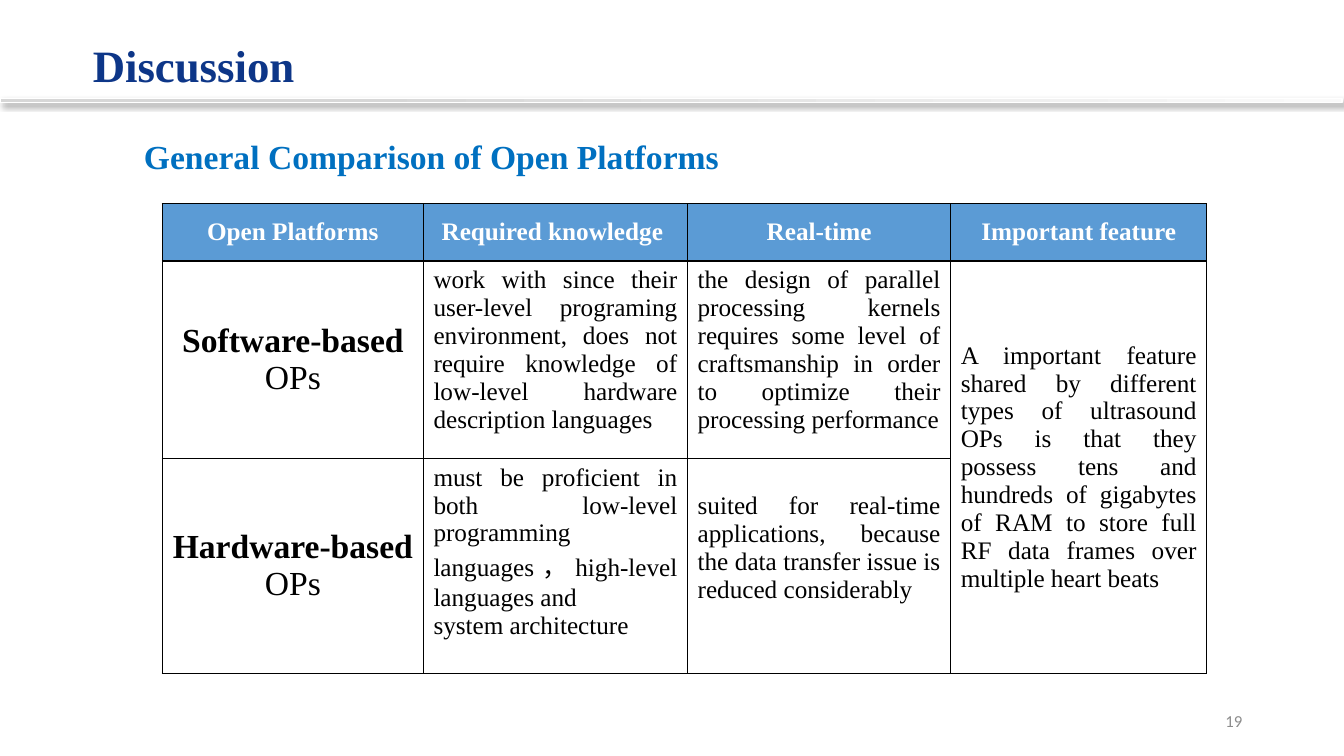
from lxml import etree
from pptx import Presentation
from pptx import util as u
from pptx.dml.color import RGBColor
from pptx.enum import shapes, text
from pptx.oxml import parse_xml
from pptx.oxml.ns import nsdecls, qn

COLORS = {
    "title": "0D3688", "subtitle": "0070C0", "number": "8C8C8C",
    "header": "5B9BD5", "white": "FFFFFF", "black": "000000",
    "bar_light": "FAFAFA", "bar_dark": "D7D7D7",
}
SERIF = "Times New Roman"
ALIGN = text.PP_ALIGN
ANCHOR = text.MSO_ANCHOR

HEADER = {"size": 18, "bold": True, "color": "white"}
BODY = {"size": 18, "bold": False, "color": "black"}
PLATFORM = {"size": 24, "bold": True, "color": "black"}
PLATFORM_SUFFIX = {**PLATFORM, "bold": False}

HEADINGS = ["Open Platforms", "Required knowledge ", "Real-time", "Important feature"]
PLATFORMS = [("Software-based ", "OPs"), ("Hardware-based", " OPs")]
KNOWLEDGE = [
    ["work with since their user-level programing environment, does not require "
     "knowledge of low-level hardware description languages"],
    ["must be proficient in both low-level programming languages，high-level languages and",
     "system architecture"],
]
REAL_TIME = [
    "the design of parallel processing kernels requires some level of craftsmanship "
    "in order to optimize their processing performance",
    "suited for real-time applications, because the data transfer issue is reduced considerably",
]
FEATURE = ("A important feature shared by different types of ultrasound OPs is that they "
           "possess tens and hundreds of gigabytes of RAM to store full RF data frames "
           "over multiple heart beats")


def place(shape, box):
    for name, value in zip(("left", "top", "width", "height"), box):
        setattr(shape, name, u.Inches(value))


def write(frame, paragraphs, align, line_spacing=None):
    """Fill a text frame; each paragraph is a list of (words, style) runs."""
    for index, runs in enumerate(paragraphs):
        paragraph = frame.add_paragraph() if index else frame.paragraphs[0]
        paragraph.alignment = align
        if line_spacing:
            paragraph.line_spacing = line_spacing
        for words, style in runs:
            run = paragraph.add_run()
            run.text = words
            values = {"name": style.get("font", SERIF), "size": u.Pt(style["size"]),
                      "bold": style["bold"]}
            for name, value in values.items():
                setattr(run.font, name, value)
            run.font.color.rgb = RGBColor.from_string(COLORS[style["color"]])


def add_title(slide, box):
    title = slide.shapes.title
    place(title, box)
    frame = title.text_frame
    frame.word_wrap = False
    frame.vertical_anchor = ANCHOR.TOP
    write(frame, [[("Discussion", {"size": 32, "bold": True, "color": "title"})]], ALIGN.LEFT)


def add_text(slide, box, words, style, align, anchor=ANCHOR.TOP, line_spacing=None):
    label = slide.shapes.add_textbox(*map(u.Inches, box))
    frame = label.text_frame
    frame.word_wrap = True
    frame.vertical_anchor = anchor
    write(frame, [[(words, style)]], align, line_spacing)


def add_divider(slide, box):
    """Thin gradient bar with a soft shadow under the title."""
    bar = slide.shapes.add_shape(shapes.MSO_SHAPE.RECTANGLE, *map(u.Inches, box))
    bar.line.color.rgb = RGBColor.from_string(COLORS["white"])
    bar.line.width = u.Pt(1)
    bar.shadow.inherit = False
    stops = [(0, "bar_light"), (74, "bar_dark"), (83, "bar_dark")]
    stop_xml = "".join(
        f'<a:gs pos="{position * 1000}"><a:srgbClr val="{COLORS[color]}"/></a:gs>'
        for position, color in stops)
    properties = bar.element.spPr
    properties.find(qn("a:prstGeom")).addnext(parse_xml(
        f'<a:gradFill {nsdecls("a")}><a:gsLst>{stop_xml}</a:gsLst>'
        '<a:lin ang="10800000" scaled="0"/></a:gradFill>'))
    properties.find(qn("a:effectLst")).append(parse_xml(
        f'<a:outerShdw {nsdecls("a")} blurRad="{u.Pt(4)}" dist="{u.Pt(3)}" dir="2700000">'
        f'<a:srgbClr val="{COLORS["black"]}"><a:alpha val="40000"/></a:srgbClr></a:outerShdw>'))


def frame_cell(cell, fill):
    """Draw the four borders of a cell, then its fill."""
    properties = cell._tc.get_or_add_tcPr()
    for side in ("lnL", "lnR", "lnT", "lnB"):
        line = etree.SubElement(properties, qn(f"a:{side}"), w=str(u.Pt(1)))
        solid = etree.SubElement(line, qn("a:solidFill"))
        etree.SubElement(solid, qn("a:srgbClr"), val=COLORS["black"])
    cell.fill.solid()
    cell.fill.fore_color.rgb = RGBColor.from_string(COLORS[fill])


def fill_cell(cell, paragraphs, align, anchor):
    cell.vertical_anchor = anchor
    write(cell.text_frame, paragraphs, align)


def add_comparison(slide, box):
    widths, heights = [2.59, 2.62, 2.61, 2.54], [0.57, 1.96, 2.13]
    table = slide.shapes.add_table(len(heights), len(widths), *map(u.Inches, box)).table
    for column, width in zip(table.columns, widths):
        column.width = u.Inches(width)
    for index, (row, height) in enumerate(zip(table.rows, heights)):
        row.height = u.Inches(height)
        for cell in row.cells:
            frame_cell(cell, "white" if index else "header")
    table.cell(1, 3).merge(table.cell(2, 3))

    for column, heading in enumerate(HEADINGS):
        fill_cell(table.cell(0, column), [[(heading, HEADER)]], ALIGN.CENTER, ANCHOR.MIDDLE)
    for row, (platform, knowledge, real_time) in enumerate(
            zip(PLATFORMS, KNOWLEDGE, REAL_TIME), start=1):
        name = list(zip(platform, (PLATFORM, PLATFORM_SUFFIX)))
        fill_cell(table.cell(row, 0), [name], ALIGN.CENTER, ANCHOR.MIDDLE)
        fill_cell(table.cell(row, 1), [[(words, BODY)] for words in knowledge],
                  ALIGN.JUSTIFY, ANCHOR.TOP)
        fill_cell(table.cell(row, 2), [[(real_time, BODY)]], ALIGN.JUSTIFY, ANCHOR.TOP)
    table.cell(2, 2).margin_top = u.Inches(0.33)
    fill_cell(table.cell(1, 3), [[(FEATURE, BODY)]], ALIGN.JUSTIFY, ANCHOR.MIDDLE)


def main():
    presentation = Presentation()
    presentation.slide_width = u.Inches(13.33)
    presentation.slide_height = u.Inches(7.5)
    slide = presentation.slides.add_slide(presentation.slide_layouts.get_by_name("Title Only"))
    add_divider(slide, (0, 0.98, 13.31, 0.04))
    add_title(slide, (0.82, 0.32, 2.22, 0.64))
    add_text(slide, (1.33, 1.1, 10.64, 0.63), "General Comparison of Open Platforms",
             {"size": 24, "bold": True, "color": "subtitle"}, ALIGN.JUSTIFY, line_spacing=1.5)
    add_comparison(slide, (1.61, 2.02, 10.36, 4.66))
    add_text(slide, (9.42, 6.95, 3, 0.4), "19",
             {"size": 12, "bold": False, "color": "number", "font": "Calibri"},
             ALIGN.RIGHT, ANCHOR.MIDDLE)
    presentation.save("out.pptx")


if __name__ == "__main__":
    main()
